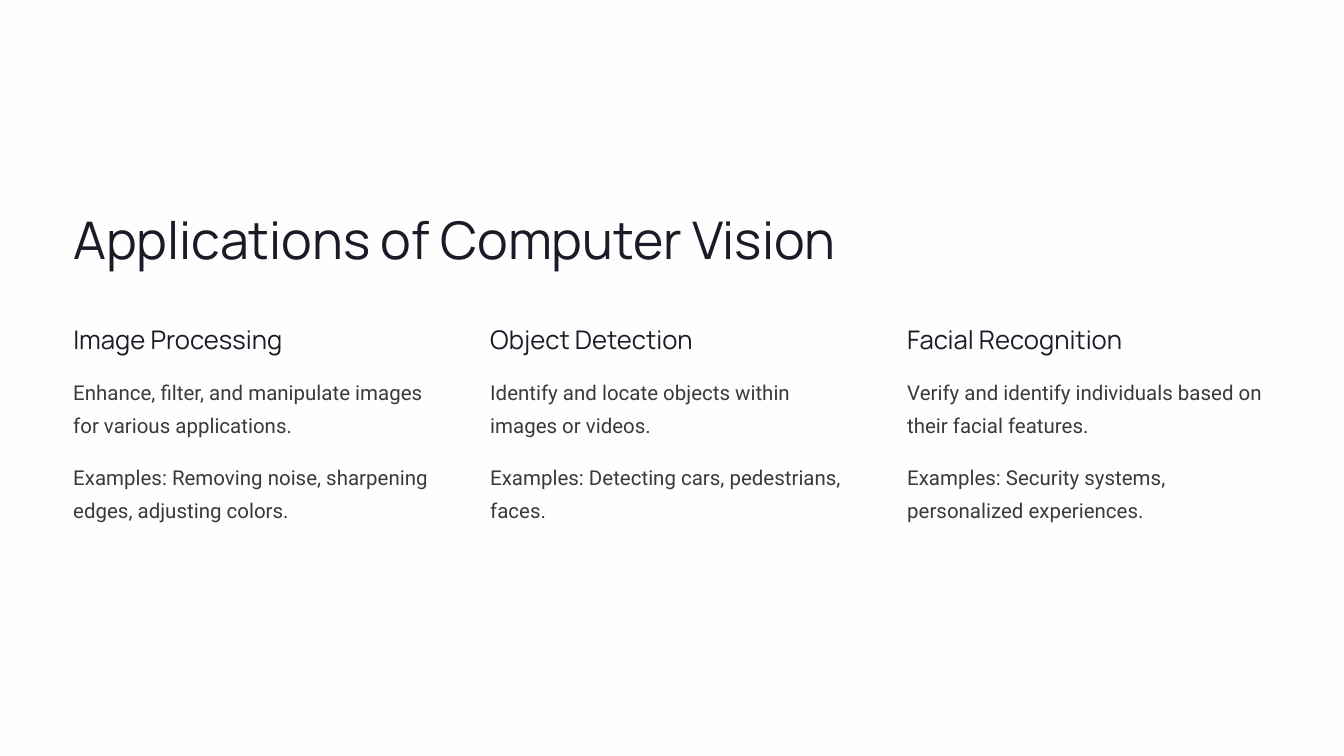
import dataclasses

import pptx
import pptx.dml.color
import pptx.enum.shapes
import pptx.enum.text
import pptx.util
from lxml import etree
from pptx.oxml.ns import qn
from pptx.util import Inches


@dataclasses.dataclass(frozen=True)
class TextStyle:
    font: str
    size: float
    line_spacing: float
    color: str


@dataclasses.dataclass(frozen=True)
class Theme:
    base: str = "ECECF3"
    veil: str = "FFFFFF"
    veil_opacity: int = 95
    title: TextStyle = TextStyle("Manrope", 55.6, 69.4, "1B1B27")
    heading: TextStyle = TextStyle("Manrope", 27.5, 34.4, "1B1B27")
    body: TextStyle = TextStyle("Roboto", 21.9, 35.6, "3C3939")


THEME = Theme()

APPLICATIONS = [
    (
        "Image Processing",
        "Enhance, filter, and manipulate images for various applications.",
        "Examples: Removing noise, sharpening edges, adjusting colors.",
    ),
    (
        "Object Detection",
        "Identify and locate objects within images or videos.",
        "Examples: Detecting cars, pedestrians, faces.",
    ),
    (
        "Facial Recognition",
        "Verify and identify individuals based on their facial features.",
        "Examples: Security systems, personalized experiences.",
    ),
]


def format_text(shape, text, style):
    frame = shape.text_frame
    frame.text = text
    frame.word_wrap = True
    frame.auto_size = pptx.enum.text.MSO_AUTO_SIZE.SHAPE_TO_FIT_TEXT
    frame.vertical_anchor = pptx.enum.text.MSO_ANCHOR.TOP
    frame.margin_left = frame.margin_right = 0
    frame.margin_top = frame.margin_bottom = 0
    paragraph = frame.paragraphs[0]
    paragraph.alignment = pptx.enum.text.PP_ALIGN.LEFT
    paragraph.line_spacing = pptx.util.Pt(style.line_spacing)
    font = paragraph.runs[0].font
    font.name = style.font
    font.size = pptx.util.Pt(style.size)
    font.color.rgb = pptx.dml.color.RGBColor.from_string(style.color)


def add_text(slide, left, top, width, height, text, style):
    shape = slide.shapes.add_textbox(left, top, width, height)
    format_text(shape, text, style)


def add_panel(slide, left, top, width, height, color, opacity=100):
    shape = slide.shapes.add_shape(
        pptx.enum.shapes.MSO_SHAPE.RECTANGLE, left, top, width, height
    )
    shape.shadow.inherit = False
    shape.line.fill.background()
    shape.fill.solid()
    shape.fill.fore_color.rgb = pptx.dml.color.RGBColor.from_string(color)
    if opacity < 100:
        color_element = shape.element.spPr.find(qn("a:solidFill"))[0]
        alpha = etree.SubElement(color_element, qn("a:alpha"))
        alpha.set("val", str(opacity * 1000))
    slide.shapes.title.element.addprevious(shape.element)


def add_backdrop(slide, left, top, width, height):
    add_panel(slide, left, top, width, height, THEME.base)
    add_panel(slide, left, top, width, height, THEME.veil, THEME.veil_opacity)


def place_title(slide, left, top, width, height, text):
    title = slide.shapes.title
    title.left, title.top = left, top
    title.width, title.height = width, height
    format_text(title, text, THEME.title)


def add_application(slide, left, top, width, heading, description, examples):
    add_text(slide, left, top, Inches(3.88), Inches(0.52), heading, THEME.heading)
    for offset, text in ((0.72, description), (1.99, examples)):
        add_text(
            slide, left, top + Inches(offset), width, Inches(1.1), text, THEME.body
        )


def add_applications(slide, left, top, width, applications):
    column_width = Inches(5.44)
    pitch = (width - column_width) // (len(applications) - 1)
    for index, application in enumerate(applications):
        add_application(slide, left + index * pitch, top, column_width, *application)


def main():
    presentation = pptx.Presentation()
    presentation.slide_width = Inches(20)
    presentation.slide_height = Inches(11.25)
    slide = presentation.slides.add_slide(presentation.slide_layouts[5])
    margin = Inches(1.09)

    add_backdrop(slide, 0, 0, presentation.slide_width, presentation.slide_height)
    place_title(
        slide, margin, Inches(3.05), Inches(11.44), Inches(1),
        "Applications of Computer Vision",
    )
    add_applications(slide, margin, Inches(4.8), Inches(17.85), APPLICATIONS)
    presentation.save("out.pptx")


if __name__ == "__main__":
    main()
